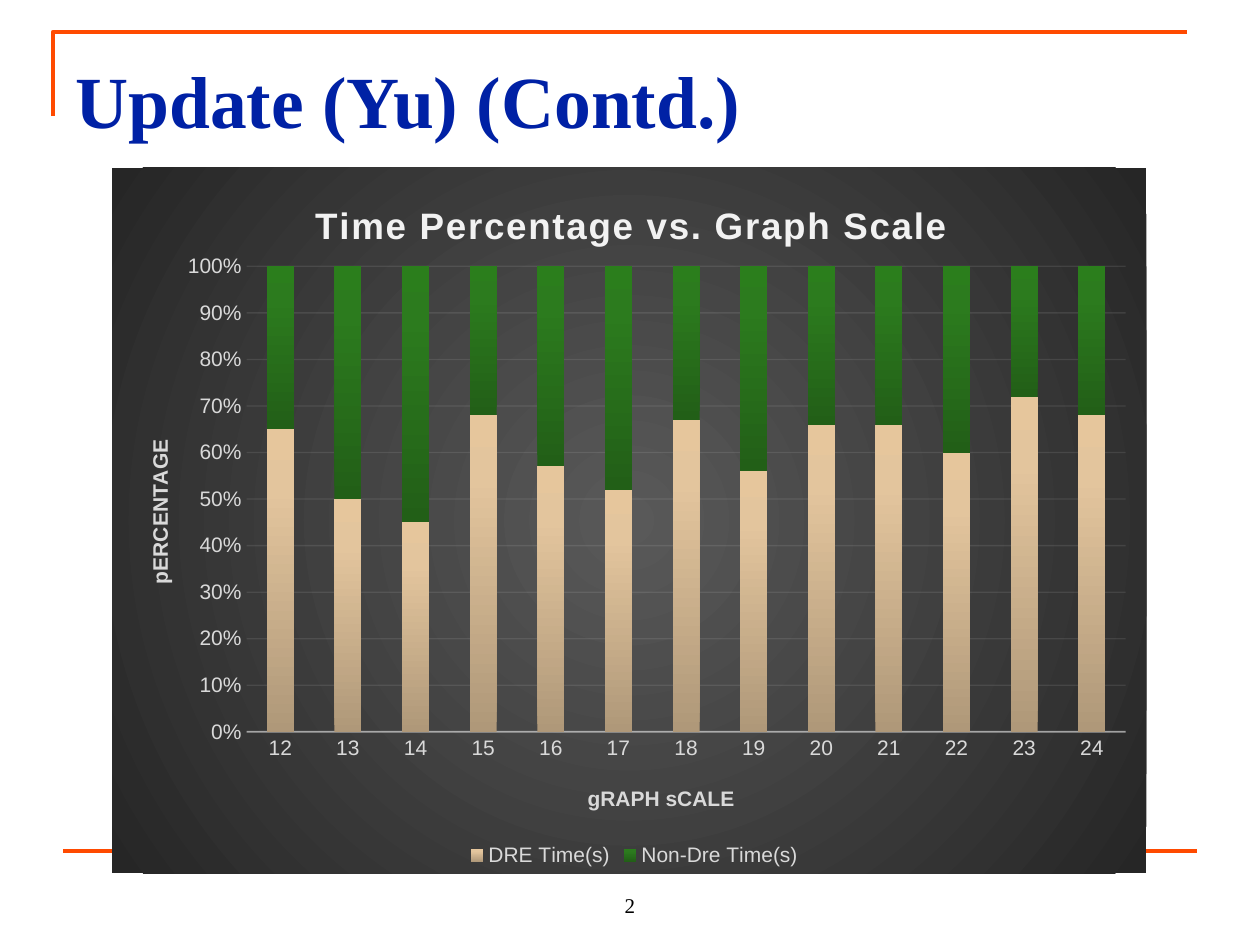
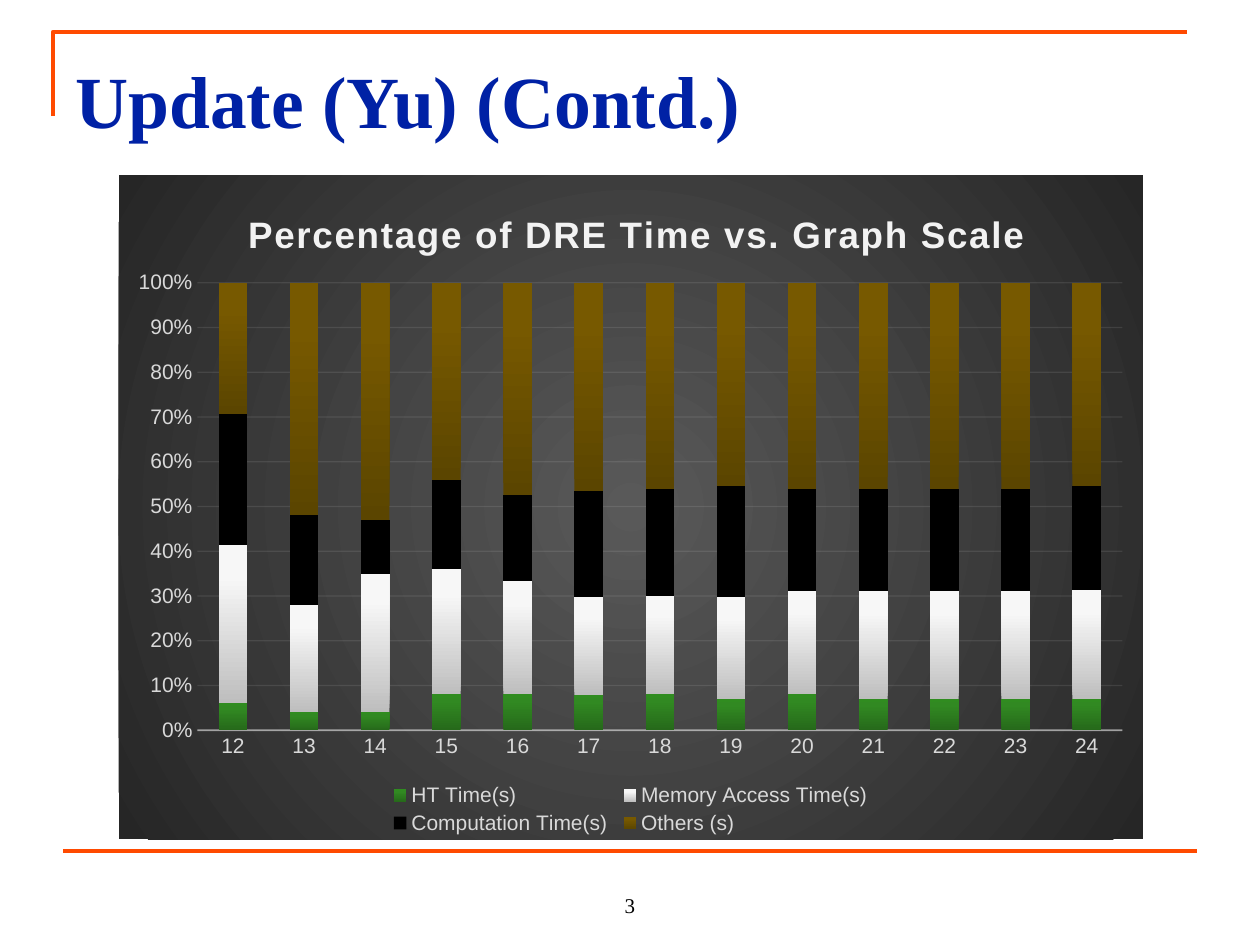
from dataclasses import dataclass
from typing import NamedTuple

from lxml import etree
from pptx import Presentation
from pptx.chart.data import CategoryChartData
from pptx.dml.color import RGBColor
from pptx.enum.chart import XL_CHART_TYPE, XL_LEGEND_POSITION, XL_TICK_MARK
from pptx.enum.shapes import MSO_CONNECTOR
from pptx.enum.text import MSO_ANCHOR, PP_ALIGN
from pptx.oxml import parse_xml
from pptx.oxml.ns import nsdecls, qn
from pptx.util import Cm, Pt

STACKED_100 = XL_CHART_TYPE.COLUMN_STACKED_100
LEGEND_BOTTOM = XL_LEGEND_POSITION.BOTTOM
NO_TICKS = XL_TICK_MARK.NONE
STRAIGHT = MSO_CONNECTOR.STRAIGHT
TOP, BOTTOM = MSO_ANCHOR.TOP, MSO_ANCHOR.BOTTOM
LEFT, CENTER = PP_ALIGN.LEFT, PP_ALIGN.CENTER


@dataclass(frozen=True)
class Theme:
    rule: str = "FF4A00"
    heading: str = "0021A5"
    ink: str = "000000"
    chart_heading: str = "F2F2F2"
    chart_text: str = "D9D9D9"
    chart_line: str = "F2F2F2"
    backdrop: tuple = ((0, "595959"), (100, "262626"))
    serif: str = "Times New Roman"
    sans: str = "Arial"
    heading_size: float = 42
    chart_heading_size: float = 21
    small_size: float = 12
    rule_width: float = 2.25


THEME = Theme()


class Box(NamedTuple):
    """Left, top, width and height in centimetres."""
    left: float
    top: float
    width: float
    height: float

    def lengths(self) -> list:
        return [Cm(value) for value in self]


class Part(NamedTuple):
    """Place of a chart part, as fractions of the chart."""
    x: float
    y: float
    w: float = 0
    h: float = 0


class Series(NamedTuple):
    name: str
    shades: tuple[str, ...]  # from the foot to the top of the column
    values: tuple[int, ...]


@dataclass(frozen=True)
class ChartSlide:
    heading: str
    number: int
    chart_heading: str
    box: Box
    heading_part: Part
    plot_part: Part
    legend_part: Part
    series: tuple[Series, ...]
    scale_title: str = ""
    percent_title: str = ""


SCALES = [str(scale) for scale in range(12, 25)]
HEADING_BOX = Box(1.27, 0.76, 22.86, 2.62)
NUMBER_BOX = Box(10.16, 17.35, 5.08, 1.27)
SCALE_TITLE_PART = Part(0.456, 0.87)
PERCENT_TITLE_PART = Part(0.03, 0.38)

SLIDES = (
    ChartSlide(
        "Update (Yu) (Contd.)", 2, "Time Percentage vs. Graph Scale",
        Box(2.26, 3.38, 20.85, 14.22),
        Part(0.19, 0.04), Part(0.13, 0.14, 0.85, 0.66), Part(0.34, 0.95, 0.33, 0.05),
        (
            Series("DRE Time(s)", ("AF9879", "E3C59D", "E6C69C"),
                   (65, 50, 45, 68, 57, 52, 67, 56, 66, 66, 60, 72, 68)),
            Series("Non-Dre Time(s)", ("225F17", "2C7B1E", "2B7E1C"),
                   (35, 50, 55, 32, 43, 48, 33, 44, 34, 34, 40, 28, 32)),
        ),
        scale_title="gRAPH sCALE", percent_title="pERCENTAGE",
    ),
    ChartSlide(
        "Update (Yu) (Contd.)", 3, "Percentage of DRE Time vs. Graph Scale",
        Box(2.39, 3.53, 20.65, 13.39),
        Part(0.12, 0.045), Part(0.077, 0.162, 0.903, 0.674), Part(0.26, 0.91, 0.48, 0.09),
        (
            Series("HT Time(s)", ("26691A", "318922", "308C20"),
                   (6, 4, 4, 8, 8, 8, 8, 7, 8, 7, 7, 7, 7)),
            Series("Memory Access Time(s)", ("BEBEBE", "F7F7F7", "F8F8F8"),
                   (35, 24, 31, 28, 25, 22, 22, 23, 23, 24, 24, 24, 24)),
            Series("Computation Time(s)", ("000000",),
                   (29, 20, 12, 20, 19, 24, 24, 25, 23, 23, 23, 23, 23)),
            Series("Others (s)", ("5B4500", "775900", "775900"),
                   (29, 52, 53, 44, 47, 47, 46, 46, 46, 46, 46, 46, 45)),
        ),
    ),
)


def rgb(color: str) -> RGBColor:
    return RGBColor.from_string(color)


def write(frame, text: str, *, size: float, color: str, font: str = THEME.sans,
          bold: bool = False, align=CENTER, spacing: float = 0) -> None:
    paragraph = frame.paragraphs[0]
    paragraph.alignment = align
    run = paragraph.add_run()
    run.text = text
    style_font(run.font, size, color, font, bold)
    if spacing:
        run.font._element.set("spc", str(int(spacing * 100)))


def style_font(font, size: float, color: str, name: str = THEME.sans,
               bold: bool = False) -> None:
    font.size, font.name, font.bold = Pt(size), name, bold
    font.color.rgb = rgb(color)


def add_text_box(slide, box: Box, text: str, *, anchor, inset_top: float = 0.13,
                 **text_format) -> None:
    frame = slide.shapes.add_textbox(*box.lengths()).text_frame
    frame.word_wrap = True
    frame.vertical_anchor = anchor
    frame.margin_top = Cm(inset_top)
    write(frame, text, **text_format)


def style_line(line, color: str, width: float, opacity: int = 100) -> None:
    line.color.rgb = rgb(color)
    line.width = Pt(width)
    if opacity < 100:
        shade = line._get_or_add_ln().find(".//" + qn("a:srgbClr"))
        etree.SubElement(shade, qn("a:alpha")).set("val", str(opacity * 1000))


def gradient(stops, direction: str):
    marks = "".join(
        f'<a:gs pos="{position * 1000}"><a:srgbClr val="{color}"/></a:gs>'
        for position, color in stops)
    return parse_xml(f'<a:gradFill {nsdecls("a")} rotWithShape="1">'
                     f"<a:gsLst>{marks}</a:gsLst>{direction}</a:gradFill>")


def place(element, part: Part) -> None:
    """Fix a title, legend or plot area at its place in the chart."""
    old = element.find(qn("c:layout"))
    if old is not None:
        element.remove(old)
    inner = '<c:layoutTarget val="inner"/>' if element.tag == qn("c:plotArea") else ""
    modes = '<c:xMode val="edge"/><c:yMode val="edge"/>'
    values = "".join(f'<c:{key} val="{value}"/>'
                     for key, value in part._asdict().items() if value)
    layout = parse_xml(f'<c:layout {nsdecls("c")}><c:manualLayout>{inner}{modes}{values}'
                       "</c:manualLayout></c:layout>")
    heads = [child for child in element if child.tag in (qn("c:tx"), qn("c:legendPos"))]
    element.insert(len(heads), layout)


def add_axis_title(axis, text: str, part: Part) -> None:
    axis.has_title = bool(text)
    if text:
        write(axis.axis_title.text_frame, text, size=THEME.small_size,
              color=THEME.chart_text, bold=True)
        place(axis.axis_title._element, part)


def style_axes(chart, content: ChartSlide) -> None:
    scale, percent = chart.category_axis, chart.value_axis
    for axis in (scale, percent):
        axis.major_tick_mark = axis.minor_tick_mark = NO_TICKS
        style_font(axis.tick_labels.font, THEME.small_size, THEME.chart_text)
    style_line(scale.format.line, THEME.chart_line, 1, 54)
    percent.format.line.fill.background()
    style_line(percent.major_gridlines.format.line, THEME.chart_line, 0.75, 10)
    percent.major_unit = 0.1
    percent.tick_labels.number_format = "0%"
    percent.tick_labels.number_format_is_linked = False
    add_axis_title(scale, content.scale_title, SCALE_TITLE_PART)
    add_axis_title(percent, content.percent_title, PERCENT_TITLE_PART)
    if content.percent_title:
        body = percent.axis_title.text_frame._txBody.find(qn("a:bodyPr"))
        body.set("rot", "-5400000")
        body.set("vert", "horz")


def fill_series(plot, content: ChartSlide) -> None:
    for drawn, series in zip(plot.series, content.series):
        drawn.invert_if_negative = False
        if len(series.shades) == 1:
            drawn.format.fill.solid()
            drawn.format.fill.fore_color.rgb = rgb(series.shades[0])
        else:
            properties = drawn._element.get_or_add_spPr()
            properties.insert(0, gradient(zip((0, 80, 100), series.shades),
                                          '<a:lin ang="16200000" scaled="0"/>'))


def fill_backdrop(chart) -> None:
    properties = parse_xml(f'<c:spPr {nsdecls("c", "a")}><a:ln><a:noFill/></a:ln></c:spPr>')
    properties.insert(0, gradient(
        THEME.backdrop,
        '<a:path path="circle"><a:fillToRect l="50000" t="50000" r="50000" b="50000"/></a:path>'))
    chart._chartSpace.find(qn("c:chart")).addnext(properties)


def add_time_chart(slide, content: ChartSlide) -> None:
    data = CategoryChartData()
    data.categories = SCALES
    for series in content.series:
        data.add_series(series.name, series.values)
    chart = slide.shapes.add_chart(STACKED_100, *content.box.lengths(), data).chart
    style_font(chart.font, 10, THEME.ink)
    fill_backdrop(chart)

    chart.has_title = True
    write(chart.chart_title.text_frame, content.chart_heading, bold=True, spacing=1,
          size=THEME.chart_heading_size, color=THEME.chart_heading)
    place(chart.chart_title._element, content.heading_part)

    chart.has_legend = True
    chart.legend.position = LEGEND_BOTTOM
    chart.legend.include_in_layout = False
    style_font(chart.legend.font, THEME.small_size, THEME.chart_text)
    place(chart.legend._element, content.legend_part)

    plot = chart.plots[0]
    plot.gap_width, plot.overlap, plot.vary_by_categories = 150, 100, False
    place(chart._chartSpace.find(".//" + qn("c:plotArea")), content.plot_part)
    style_axes(chart, content)
    fill_series(plot, content)


def add_rules(slide) -> None:
    """Draw the corner above the heading and the line above the footer."""
    left, top = Cm(1.07), Cm(0.64)
    builder = slide.shapes.build_freeform(left, Cm(2.34))
    builder.add_line_segments([(left, top), (Cm(23.93), top)], close=False)
    corner = builder.convert_to_shape()
    corner.fill.background()
    corner.shadow.inherit = False
    footer = slide.shapes.add_connector(STRAIGHT, Cm(1.27), Cm(17.15), Cm(24.13), Cm(17.15))
    etree.SubElement(footer._element.spPr, qn("a:effectLst"))
    for rule in (corner, footer):
        style_line(rule.line, THEME.rule, THEME.rule_width)


def add_chart_slide(deck, content: ChartSlide) -> None:
    slide = deck.slides.add_slide(deck.slide_layouts[6])
    add_rules(slide)
    add_text_box(slide, HEADING_BOX, content.heading, anchor=TOP, inset_top=0.34, align=LEFT,
                 size=THEME.heading_size, color=THEME.heading, font=THEME.serif, bold=True)
    add_text_box(slide, NUMBER_BOX, str(content.number), anchor=BOTTOM,
                 size=THEME.small_size, color=THEME.ink, font=THEME.serif)
    add_time_chart(slide, content)


def main() -> None:
    deck = Presentation()
    deck.slide_width, deck.slide_height = Cm(25.4), Cm(19.05)
    for content in SLIDES:
        add_chart_slide(deck, content)
    deck.save("out.pptx")


if __name__ == "__main__":
    main()
